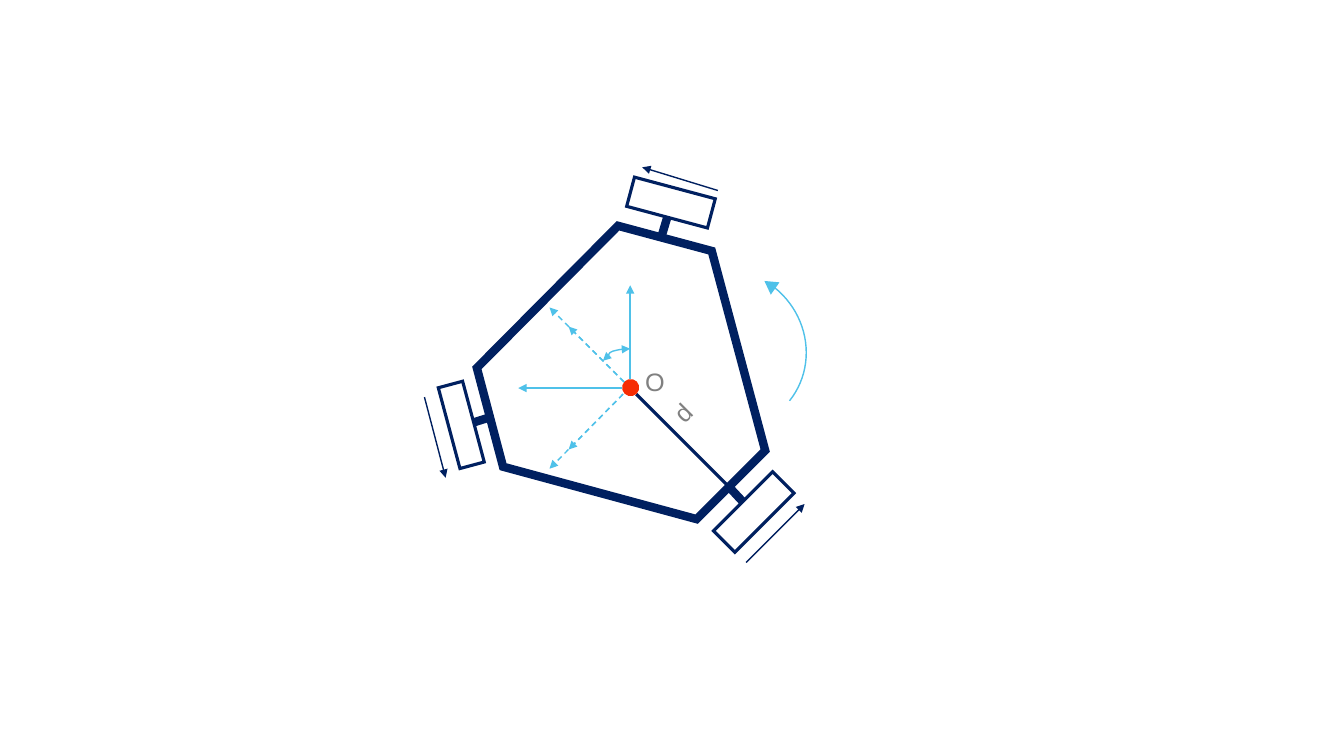
from dataclasses import dataclass

from lxml.etree import SubElement
from pptx import Presentation
from pptx.dml.color import RGBColor
from pptx.enum.dml import MSO_LINE
from pptx.enum.shapes import MSO_CONNECTOR as Link, MSO_SHAPE as Preset
from pptx.enum.text import MSO_AUTO_SIZE
from pptx.oxml.ns import qn
from pptx.util import Emu, Pt

EMU_PER_PX = 9144
NAVY, SKY, RED, GREY = "002060", "4FC1E9", "F62D04", "808080"
BOTTOM = 2
FRAME_FORMAT = {
    "margin_left": 0, "margin_top": 0, "margin_right": 0, "margin_bottom": 0,
    "word_wrap": False, "auto_size": MSO_AUTO_SIZE.SHAPE_TO_FIT_TEXT,
}
FONT_FORMAT = {"name": "Arial", "size": Pt(18)}


@dataclass(frozen=True)
class Part:
    preset: Preset
    box: tuple[int, int, int, int]
    rotation: float = 0
    fill: str = ""
    outline: str = ""
    weight: float = 1


@dataclass(frozen=True)
class Stroke:
    start: tuple[int, int]
    end: tuple[int, int]
    color: str = SKY
    weight: float = 1
    dashed: bool = False
    head: bool = False
    tail: bool = True
    kind: Link = Link.STRAIGHT


@dataclass(frozen=True)
class Wheel:
    box: tuple[int, int, int, int]
    rotation: int
    hub: tuple[int, int]
    mount: tuple[int, int]


@dataclass(frozen=True)
class Label:
    text: str
    box: tuple[int, int, int, int]
    rotation: int = 0


CHASSIS = [(499, 463), (473, 365), (613, 224), (706, 249), (759, 447), (691, 515)]
WHEELS = [
    Wheel((416, 409, 83, 25), 255, (470, 419), (486, 414)),
    Wheel((624, 186, 83, 30), 15, (662, 215), (656, 235)),
    Wheel((706, 493, 83, 30), 135, (737, 498), (723, 483)),
]
RADIUS = Stroke((631, 391), (723, 483), NAVY, 2.25, tail=False)
CENTRE = Part(Preset.OVAL, (617, 376, 17, 17), 315, fill=RED)
ROTATED_AXES = [
    [Stroke((619, 379), tip, dashed=True) for tip in [(545, 305), (564, 324)]],
    [Stroke((618, 391), tip, dashed=True) for tip in [(545, 465), (564, 446)]],
]
DISTANCE = Label("d", (670, 394, 14, 30), 315)
WHEEL_DIRECTIONS = [
    Stroke((421, 394), (442, 474), NAVY),
    Stroke((740, 558), (798, 500), NAVY),
    Stroke((712, 189), (637, 166), NAVY),
]
TURN = Part(Preset.ARC, (637, 268, 164, 157), 38.6, outline=SKY)
TURN_TIP = Part(Preset.ISOSCELES_TRIANGLE, (756, 276, 15, 13), 305.1, fill=SKY)
ORIGIN = Label("O", (640, 363, 17, 30))
FIXED_AXES = [Stroke((625, 376), (625, 283)), Stroke((617, 385), (514, 385))]
ANGLE = Stroke((598, 358), (625, 346), head=True, kind=Link.CURVE)


def px(value: int) -> Emu:
    return Emu(value * EMU_PER_PX)


def rgb(code: str) -> RGBColor:
    return RGBColor.from_string(code)


def apply(target, values: dict) -> None:
    for key, value in values.items():
        setattr(target, key, value)


def paint(shape, fill: str, outline: str, weight: float) -> None:
    shape.shadow.inherit = False
    if fill:
        shape.fill.solid()
        shape.fill.fore_color.rgb = rgb(fill)
    else:
        shape.fill.background()
    if outline:
        shape.line.color.rgb = rgb(outline)
        shape.line.width = Pt(weight)
        SubElement(shape.line._get_or_add_ln(), qn("a:miter"), lim="800000")
    else:
        shape.line.fill.background()


def draw_part(shapes, part: Part):
    shape = shapes.add_shape(part.preset, *map(px, part.box))
    shape.rotation = part.rotation
    paint(shape, part.fill, part.outline, part.weight)
    return shape


def draw_stroke(shapes, stroke: Stroke):
    link = shapes.add_connector(stroke.kind, *map(px, stroke.start + stroke.end))
    link.line.color.rgb = rgb(stroke.color)
    link.line.width = Pt(stroke.weight)
    if stroke.dashed:
        link.line.dash_style = MSO_LINE.DASH
    ln = link.line._get_or_add_ln()
    for tag, shown in [("a:headEnd", stroke.head), ("a:tailEnd", stroke.tail)]:
        if shown:
            SubElement(ln, qn(tag), type="triangle")
    SubElement(link._element.spPr, qn("a:effectLst"))
    return link


def draw_label(shapes, label: Label) -> None:
    box = shapes.add_textbox(*map(px, label.box))
    box.rotation = label.rotation
    apply(box.text_frame, FRAME_FORMAT)
    run = box.text_frame.paragraphs[0].add_run()
    run.text = label.text
    apply(run.font, FONT_FORMAT)
    run.font.color.rgb = rgb(GREY)


def draw_wheel(shapes, wheel: Wheel) -> None:
    tyre = draw_part(shapes, Part(Preset.RECTANGLE, wheel.box, wheel.rotation,
                                  outline=NAVY, weight=2.25))
    axle = draw_stroke(shapes, Stroke(wheel.hub, wheel.mount, NAVY, 6, tail=False))
    axle.begin_connect(tyre, BOTTOM)
    axle.begin_x, axle.begin_y = map(px, wheel.hub)


def draw_robot(shapes) -> None:
    builder = shapes.build_freeform(*CHASSIS[0], scale=EMU_PER_PX)
    builder.add_line_segments(CHASSIS[1:], close=True)
    paint(builder.convert_to_shape(), "", NAVY, 6)
    for wheel in WHEELS:
        draw_wheel(shapes, wheel)


def draw_angle(shapes) -> None:
    link = draw_stroke(shapes, ANGLE)
    guides = link._element.spPr.find(qn("a:prstGeom")).get_or_add_avLst()
    SubElement(guides, qn("a:gd"), name="adj1", fmla="val 21100")


def main() -> None:
    deck = Presentation()
    deck.slide_width, deck.slide_height = px(1333), px(750)
    shapes = deck.slides.add_slide(deck.slide_layouts[6]).shapes

    draw_robot(shapes.add_group_shape().shapes)
    draw_stroke(shapes, RADIUS)
    draw_part(shapes, CENTRE)
    for axis in ROTATED_AXES:
        members = shapes.add_group_shape().shapes
        for stroke in axis:
            draw_stroke(members, stroke)
    draw_label(shapes, DISTANCE)
    for direction in WHEEL_DIRECTIONS:
        draw_stroke(shapes, direction)
    turn = draw_part(shapes, TURN)
    turn.adjustments[0], turn.adjustments[1] = 161.55, 0
    draw_part(shapes, TURN_TIP)
    draw_label(shapes, ORIGIN)
    for axis in FIXED_AXES:
        draw_stroke(shapes, axis)
    draw_angle(shapes)

    deck.save("out.pptx")


if __name__ == "__main__":
    main()
